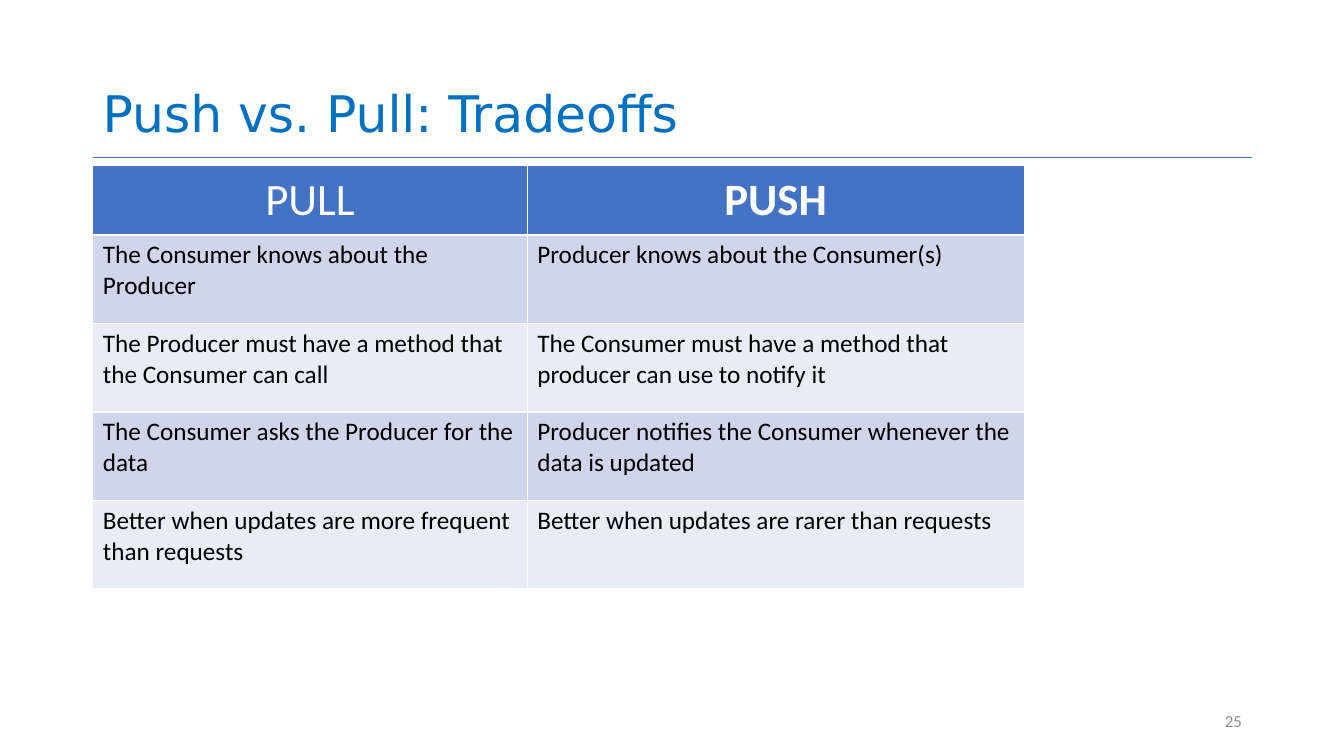
"""Builds a slide that compares the tradeoffs of pull and push."""
from lxml.etree import SubElement
from pptx import Presentation
from pptx.dml.color import RGBColor
from pptx.enum.shapes import MSO_CONNECTOR
from pptx.enum.text import MSO_ANCHOR, PP_ALIGN
from pptx.oxml.ns import qn
from pptx.util import Cm, Pt

COLORS = {
    "title": "0070C0",
    "accent": "4472C4",
    "header_text": "FFFFFF",
    "body_text": "000000",
    "odd_row": "CFD5EA",
    "even_row": "E9EBF5",
    "page_number": "8C8C8C",
}
HEADERS = [("PULL", False), ("PUSH", True)]
TRADEOFFS = [
    ("The Consumer knows about the Producer",
     "Producer knows about the Consumer(s)"),
    ("The Producer must have a method that the Consumer can call",
     "The Consumer must have a method that producer can use to notify it"),
    ("The Consumer asks the Producer for the data",
     "Producer notifies the Consumer whenever the data is updated"),
    ("Better when updates are more frequent than requests",
     "Better when updates are rarer than requests"),
]
COLUMN_SHARES = (0.4665, 0.5335)
HEADER_HEIGHT = Cm(1.75)


def color(name):
    """Return the named colour."""
    return RGBColor.from_string(COLORS[name])


def style(para, size, color_name, face="Calibri", bold=False, align=PP_ALIGN.LEFT):
    """Set the font and alignment of a paragraph."""
    para.alignment = align
    para.font.name = face
    para.font.size = Pt(size)
    para.font.bold = bold
    para.font.color.rgb = color(color_name)


def add_text(page, box, text, anchor):
    """Place a wrapped text box and return its paragraph."""
    frame = page.shapes.add_textbox(*box).text_frame
    frame.word_wrap = True
    frame.vertical_anchor = anchor
    para = frame.paragraphs[0]
    para.text = text
    return para


def add_title(page, box):
    """Place the title at the foot of its box, with a rule below it."""
    left, top, width, height = box
    para = add_text(page, box, "Push vs. Pull: Tradeoffs", MSO_ANCHOR.BOTTOM)
    para.line_spacing = 0.9
    style(para, 36, "title", "DejaVu Sans")
    rule_top = top + height + Cm(0.23)
    rule = page.shapes.add_connector(
        MSO_CONNECTOR.STRAIGHT, left, rule_top, left + width, rule_top)
    rule.line.color.rgb = color("accent")
    rule.line.width = Pt(0.5)
    SubElement(rule._element.spPr, qn("a:effectLst"))


def fill_cell(cell, text, fill):
    """Fill a cell, write its text and return its paragraph."""
    cell.fill.solid()
    cell.fill.fore_color.rgb = color(fill)
    cell.text = text
    return cell.text_frame.paragraphs[0]


def add_tradeoffs(page, box):
    """Place the comparison table, with equal rows under the header."""
    left, top, width, height = box
    table = page.shapes.add_table(
        len(TRADEOFFS) + 1, len(HEADERS), left, top, width, height).table
    for column, share in zip(table.columns, COLUMN_SHARES):
        column.width = int(width * share)
    for row in table.rows:
        row.height = (height - HEADER_HEIGHT) // len(TRADEOFFS)
    table.rows[0].height = HEADER_HEIGHT

    for index, (text, bold) in enumerate(HEADERS):
        cell = table.cell(0, index)
        cell.vertical_anchor = MSO_ANCHOR.MIDDLE
        para = fill_cell(cell, text, "accent")
        style(para, 32, "header_text", bold=bold, align=PP_ALIGN.CENTER)
    for number, texts in enumerate(TRADEOFFS, start=1):
        fill = "odd_row" if number % 2 else "even_row"
        for index, text in enumerate(texts):
            para = fill_cell(table.cell(number, index), text, fill)
            style(para, 18, "body_text")


def add_page_number(page, box):
    """Place the page number at the right of its box."""
    para = add_text(page, box, "25", MSO_ANCHOR.MIDDLE)
    style(para, 12, "page_number", align=PP_ALIGN.RIGHT)


def main():
    """Build the deck and save it."""
    deck = Presentation()
    deck.slide_width, deck.slide_height = Cm(33.87), Cm(19.05)
    page = deck.slides.add_slide(deck.slide_layouts[6])
    add_title(page, (Cm(2.34), Cm(0.05), Cm(29.21), Cm(3.68)))
    add_tradeoffs(page, (Cm(2.34), Cm(4.17), Cm(23.47), Cm(10.67)))
    add_page_number(page, (Cm(23.93), Cm(17.65), Cm(7.62), Cm(1.02)))
    deck.save("out.pptx")


if __name__ == "__main__":
    main()
